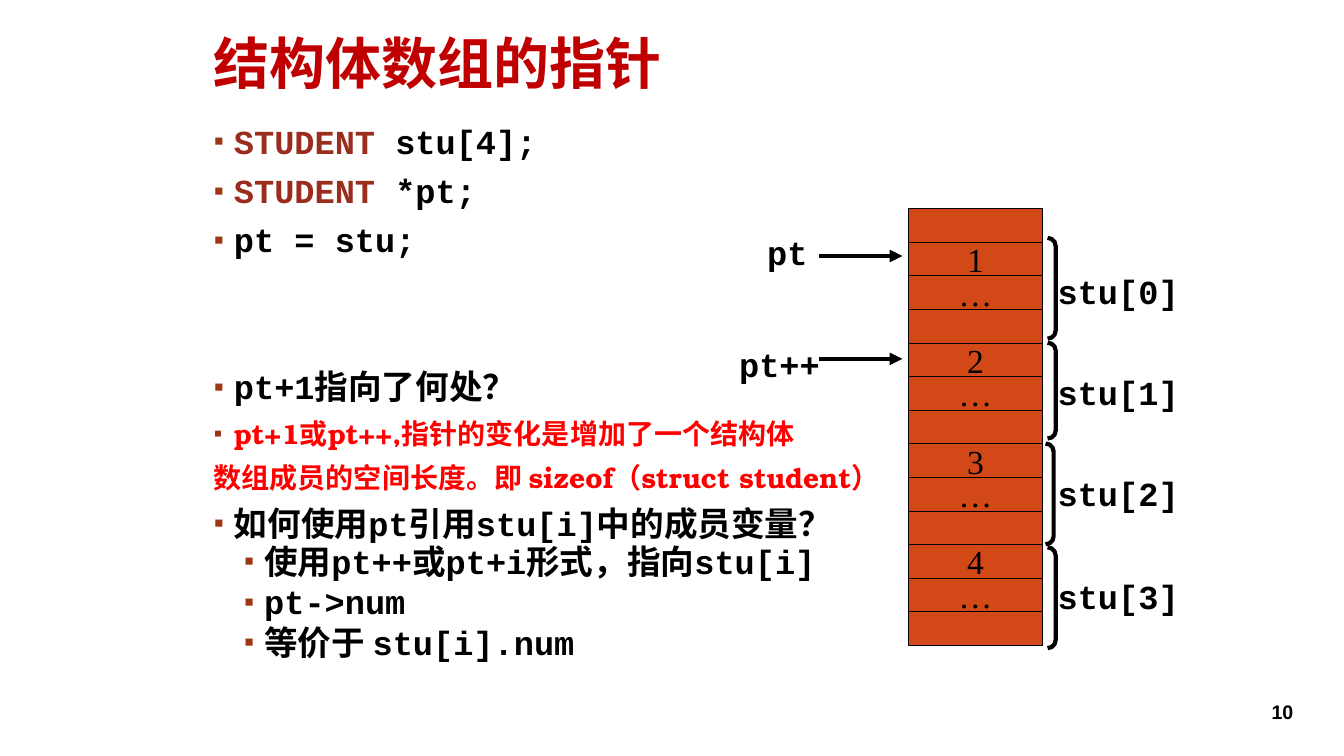
"""Build the slide on pointers to an array of structs."""
from lxml.etree import SubElement
from pptx import Presentation
from pptx.dml.color import RGBColor
from pptx.enum.lang import MSO_LANGUAGE_ID
from pptx.enum.shapes import MSO_CONNECTOR, MSO_SHAPE
from pptx.enum.text import MSO_ANCHOR, MSO_AUTO_SIZE, PP_ALIGN
from pptx.oxml.ns import qn
from pptx.util import Inches, Pt

COLORS = {
    "title": "C00000", "type": "9B2D1F", "ink": "000000",
    "note": "FF0000", "bullet": "9E3611", "cell": "D34817",
}
CODE, SERIF, NOTE = "Courier New", "Times New Roman", "TeX Gyre Bonum"


def write(para, text, size=24, face=CODE, color="ink", bold=True):
    run = para.add_run()
    run.text = text
    font = run.font
    font.size, font.name, font.bold = Pt(size), face, bold
    font.color.rgb = RGBColor.from_string(COLORS[color])
    font.language_id = MSO_LANGUAGE_ID.SIMPLIFIED_CHINESE


def label(text, left, top, width, height=0.5, size=24, face=CODE):
    box = slide.shapes.add_textbox(
        Inches(left), Inches(top), Inches(width), Inches(height))
    box.text_frame.word_wrap = False
    para = box.text_frame.paragraphs[0]
    para.alignment = PP_ALIGN.CENTER
    write(para, text, size, face)


deck = Presentation()
deck.slide_width, deck.slide_height = Inches(13.33), Inches(7.5)
slide = deck.slides.add_slide(deck.slide_layouts[1])
ink = RGBColor.from_string(COLORS["ink"])

title = slide.shapes.title
title.left, title.top = Inches(2.02), Inches(0.28)
title.width, title.height = Inches(9.34), Inches(0.76)
title.text_frame.auto_size = MSO_AUTO_SIZE.NONE
title.text_frame.vertical_anchor = MSO_ANCHOR.MIDDLE
head = title.text_frame.paragraphs[0]
head.alignment = PP_ALIGN.LEFT
head.line_spacing = 0.9
write(head, "结构体数组的指针", 40, "Arial Narrow", "title")

body = slide.placeholders[1]
body.left, body.top = Inches(2.02), Inches(1.23)
body.width, body.height = Inches(8.43), Inches(5.83)
frame = body.text_frame
frame.auto_size = MSO_AUTO_SIZE.NONE

plain, red = (24, CODE, "ink"), (20, NOTE, "note")
kind = (24, CODE, "type")
lines = [
    (0, 12, True, [("STUDENT ", kind), ("stu[4];", plain)]),
    (0, 12, True, [("STUDENT ", kind), ("*pt;", plain)]),
    (0, 12, True, [("pt = stu;", plain)]),
    (0, 82, True, [("pt+1指向了何处？", plain)]),
    (0, 12, True, [("pt+1或pt++,指针的变化是增加了一个结构体", red)]),
    (0, 12, False, [("数组成员的空间长度。即 sizeof（struct student）", red)]),
    (0, 12, True, [("如何使用pt引用stu[i]中的成员变量？", plain)]),
    (1, 4, True, [("使用pt++或pt+i形式，指向stu[i]", plain)]),
    (1, 4, True, [("pt->num", plain)]),
    (1, 4, True, [("等价于 stu[i].num", plain)]),
]
for row, (level, before, dot, runs) in enumerate(lines):
    para = frame.add_paragraph() if row else frame.paragraphs[0]
    para.level = level
    para.line_spacing = 0.8
    para.space_before, para.space_after = Pt(before), Pt(2 * level)
    props = para._p.get_or_add_pPr()
    props.set("marL", str(Inches(0.2 + 0.3 * level)))
    props.set("indent", str(Inches(-0.2)))
    if dot:
        tint = SubElement(props, qn("a:buClr"))
        SubElement(tint, qn("a:srgbClr"), val=COLORS["bullet"])
        SubElement(props, qn("a:buSzPct"), val="85000")
        SubElement(props, qn("a:buChar"), char="▪")
    else:
        SubElement(props, qn("a:buNone"))
    for text, style in runs:
        write(para, text, *style)

for row in range(13):
    cell = slide.shapes.add_shape(
        MSO_SHAPE.RECTANGLE, Inches(9.01), Inches(2.07 + row / 3),
        Inches(1.33), Inches(1 / 3))
    cell.shadow.inherit = False
    cell.fill.solid()
    cell.fill.fore_color.rgb = RGBColor.from_string(COLORS["cell"])
    cell.line.color.rgb = ink
    cell.line.width = Pt(0.75)
    text = ["", str(row // 3 + 1), "…"][row % 3]
    if text and row < 12:
        cell.text_frame.word_wrap = False
        cell.text_frame.vertical_anchor = MSO_ANCHOR.MIDDLE
        para = cell.text_frame.paragraphs[0]
        para.alignment = PP_ALIGN.CENTER
        write(para, text, face=SERIF, bold=False)

spans = [(10.39, 2.36, 1, 2.64), (10.39, 3.4, 0.95, 3.64),
         (10.37, 4.4, 1, 4.64), (10.39, 5.43, 1, 5.66)]
for item, (left, top, height, mid) in enumerate(spans):
    brace = slide.shapes.add_shape(
        MSO_SHAPE.LEFT_BRACKET, Inches(left), Inches(top),
        Inches(0.08), Inches(height))
    brace.rotation = 180
    brace.adjustments[0] = height
    brace.shadow.inherit = False
    brace.fill.background()
    brace.line.color.rgb = ink
    brace.line.width = Pt(3)
    label(f"stu[{item}]", 10.39, mid, 1.4)

for name, left, top, width, y in [
        ("pt", 7.51, 2.25, 0.6, 2.54), ("pt++", 7.14, 3.36, 1.18, 3.56)]:
    label(name, left, top, width)
    arrow = slide.shapes.add_connector(
        MSO_CONNECTOR.STRAIGHT, Inches(8.12), Inches(y), Inches(8.95), Inches(y))
    arrow.line.color.rgb = ink
    arrow.line.width = Pt(3)
    SubElement(arrow.line._get_or_add_ln(), qn("a:tailEnd"), type="triangle")
    SubElement(arrow._element.spPr, qn("a:effectLst"))

label("10", 12.37, 6.89, 0.7, 0.34, 14, "Arial")

deck.save("out.pptx")
